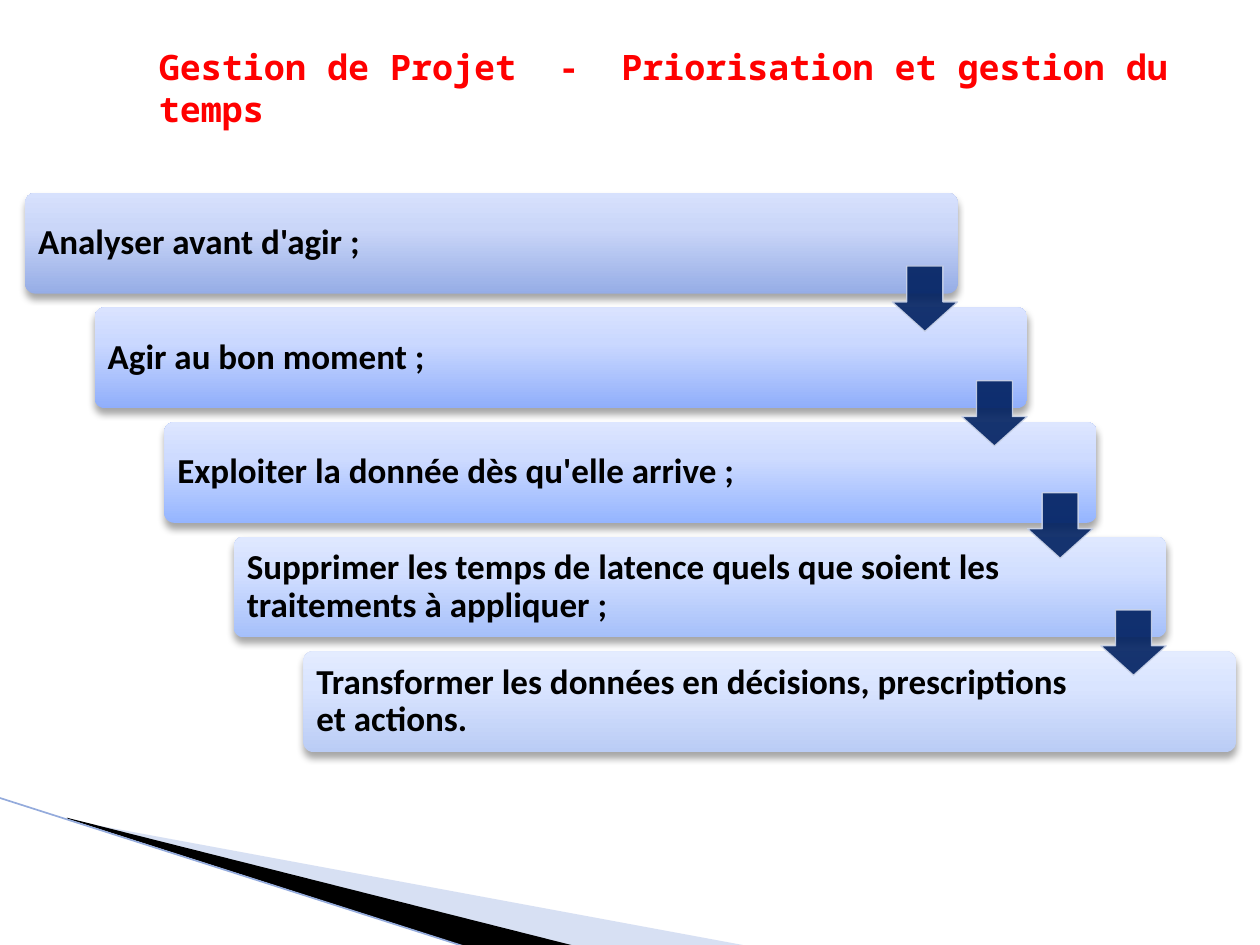
import pptx
import pptx.dml.color
import pptx.enum.shapes
import pptx.enum.text
import pptx.oxml
import pptx.oxml.ns
import pptx.util

Pt = pptx.util.Pt
RGB = pptx.dml.color.RGBColor.from_string
SHAPE = pptx.enum.shapes.MSO_SHAPE
ANCHOR = pptx.enum.text.MSO_ANCHOR
ALIGN = pptx.enum.text.PP_ALIGN
qn = pptx.oxml.ns.qn
NS = pptx.oxml.ns.nsdecls("a")

TITLE = "Gestion de Projet  -  Priorisation et gestion du temps"

# Text and gradient colours from bottom to top
STEPS = [
    ("Analyser avant d'agir ;", ("96ADE6", "CAD6F8", "D7E1FD")),
    ("Agir au bon moment ;", ("90AEFB", "CAD8FF", "DAE3FF")),
    ("Exploiter la donnée dès qu'elle arrive ;", ("95B5FF", "CEDBFF", "DDE6FF")),
    ("Supprimer les temps de latence quels que soient les traitements à appliquer ;",
     ("A5BFFA", "D2DFFF", "DFE8FF")),
    ("Transformer les données en décisions, prescriptions et actions.",
     ("BACCF5", "D9E4FF", "E4ECFF")),
]
# Small offset of each arrow from the right edge of its step
ARROW_NUDGES = [(0, 0), (0, 0), (-2.2, -1.4), (0, 0)]

# Corner ribbons: points, colour, opacity in percent
RIBBONS = [
    ([(39.6, 468.7), (428.4, 540.7), (328.3, 540.7), (39.6, 468)], "9DB2E1", 40),
    ([(38.2, 467.3), (329, 540.7), (267.8, 541.4), (38.9, 468)], "000000", 100),
]
EDGE = (-0.7, 455.8, 267.1, 541.4)

THEME = {
    "title_font": "Noto Sans Mono", "title": "FF0000",
    "step_font": "Calibri", "step": "000000", "size": 20,
    "arrow": "002060", "arrow_line": "CCD5EA", "edge": "94ABDC",
}

LEFT, TOP, WIDTH, HEIGHT = 14.4, 110.2, 532.8, 57.6
DX, DY = 39.75, 65.5
ARROW, ARROW_DROP = 37.4, 41.8
INSET, TEXT_RIGHT = 5.76, 82.8


def set_opacity(fill, percent):
    """Make a solid fill see-through; its colour must already be set."""
    for clr in fill._xPr.iter(qn("a:srgbClr")):
        clr.append(pptx.oxml.parse_xml(f'<a:alpha {NS} val="{percent * 1000}"/>'))


def paint(fill, color, opacity=100):
    fill.solid()
    fill.fore_color.rgb = RGB(color)
    if opacity < 100:
        set_opacity(fill, opacity)


def paint_gradient(fill, colors):
    fill.gradient()
    fill.gradient_angle = 90
    stops = fill._xPr.find(".//" + qn("a:gsLst"))
    for gs in list(stops):
        stops.remove(gs)
    for pos, color in zip((0, 65, 100), colors):
        stops.append(pptx.oxml.parse_xml(
            f'<a:gs {NS} pos="{pos * 1000}"><a:srgbClr val="{color}"/></a:gs>'))


def add_shadow(shape):
    shape.shadow.inherit = False
    shape._element.spPr.find(qn("a:effectLst")).append(pptx.oxml.parse_xml(
        f'<a:outerShdw {NS} blurRad="{Pt(4)}" dist="{Pt(3)}" dir="5400000" rotWithShape="0">'
        '<a:srgbClr val="000000"><a:alpha val="35000"/></a:srgbClr></a:outerShdw>'))


def write(tf, text, font, color):
    p = tf.paragraphs[0]
    p.alignment = ALIGN.LEFT
    r = p.add_run()
    r.text = text
    r.font.name, r.font.size, r.font.bold = font, Pt(THEME["size"]), True
    r.font.color.rgb = RGB(color)
    return p


def set_frame(tf, anchor, left, top, right, bottom):
    tf.word_wrap = True
    tf.auto_size = pptx.enum.text.MSO_AUTO_SIZE.NONE
    tf.vertical_anchor = anchor
    tf.margin_left, tf.margin_top = Pt(left), Pt(top)
    tf.margin_right, tf.margin_bottom = Pt(right), Pt(bottom)


def add_corner(s):
    for points, color, opacity in RIBBONS:
        outline = [(Pt(x), Pt(y)) for x, y in points]
        builder = s.shapes.build_freeform(*outline[0])
        builder.add_line_segments(outline[1:])
        ribbon = builder.convert_to_shape()
        paint(ribbon.fill, color, opacity)
        ribbon.line.fill.background()
        ribbon.shadow.inherit = False
    edge = s.shapes.add_connector(
        pptx.enum.shapes.MSO_CONNECTOR.STRAIGHT, *(Pt(v) for v in EDGE))
    edge.line.color.rgb = RGB(THEME["edge"])
    edge.line.width = Pt(0.95)
    edge._element.spPr.append(pptx.oxml.parse_xml(f"<a:effectLst {NS}/>"))


def add_title(s):
    title = s.shapes.title
    title.left, title.top, title.width, title.height = Pt(87.8), Pt(22.3), Pt(612), Pt(31.7)
    set_frame(title.text_frame, ANCHOR.TOP, 3, 3.6, 3, 3.6)
    write(title.text_frame, TITLE, THEME["title_font"], THEME["title"])


def add_step(s, i, text, colors):
    box = s.shapes.add_shape(SHAPE.ROUNDED_RECTANGLE, Pt(LEFT + i * DX), Pt(TOP + i * DY),
                             Pt(WIDTH), Pt(HEIGHT))
    box.adjustments[0] = 0.1
    paint_gradient(box.fill, colors)
    box.line.fill.background()
    add_shadow(box)
    set_frame(box.text_frame, ANCHOR.MIDDLE, INSET, INSET, TEXT_RIGHT, INSET)
    p = write(box.text_frame, text, THEME["step_font"], THEME["step"])
    p.line_spacing = 0.9


def add_arrow(s, i, nudge):
    x = LEFT + WIDTH - ARROW + i * DX + nudge[0]
    y = TOP + ARROW_DROP + i * DY + nudge[1]
    arrow = s.shapes.add_shape(SHAPE.DOWN_ARROW, Pt(x), Pt(y), Pt(ARROW), Pt(ARROW))
    arrow.adjustments[0], arrow.adjustments[1] = 0.55, 0.45
    paint(arrow.fill, THEME["arrow"], 90)
    paint(arrow.line.fill, THEME["arrow_line"], 90)
    arrow.line.width = Pt(0.75)
    arrow.shadow.inherit = False


def main():
    prs = pptx.Presentation()
    prs.slide_width, prs.slide_height = Pt(720), Pt(540)
    s = prs.slides.add_slide(prs.slide_layouts[5])
    add_corner(s)
    add_title(s)
    for i, (text, colors) in enumerate(STEPS):
        add_step(s, i, text, colors)
    for i, nudge in enumerate(ARROW_NUDGES):
        add_arrow(s, i, nudge)
    prs.save("out.pptx")


if __name__ == "__main__":
    main()
